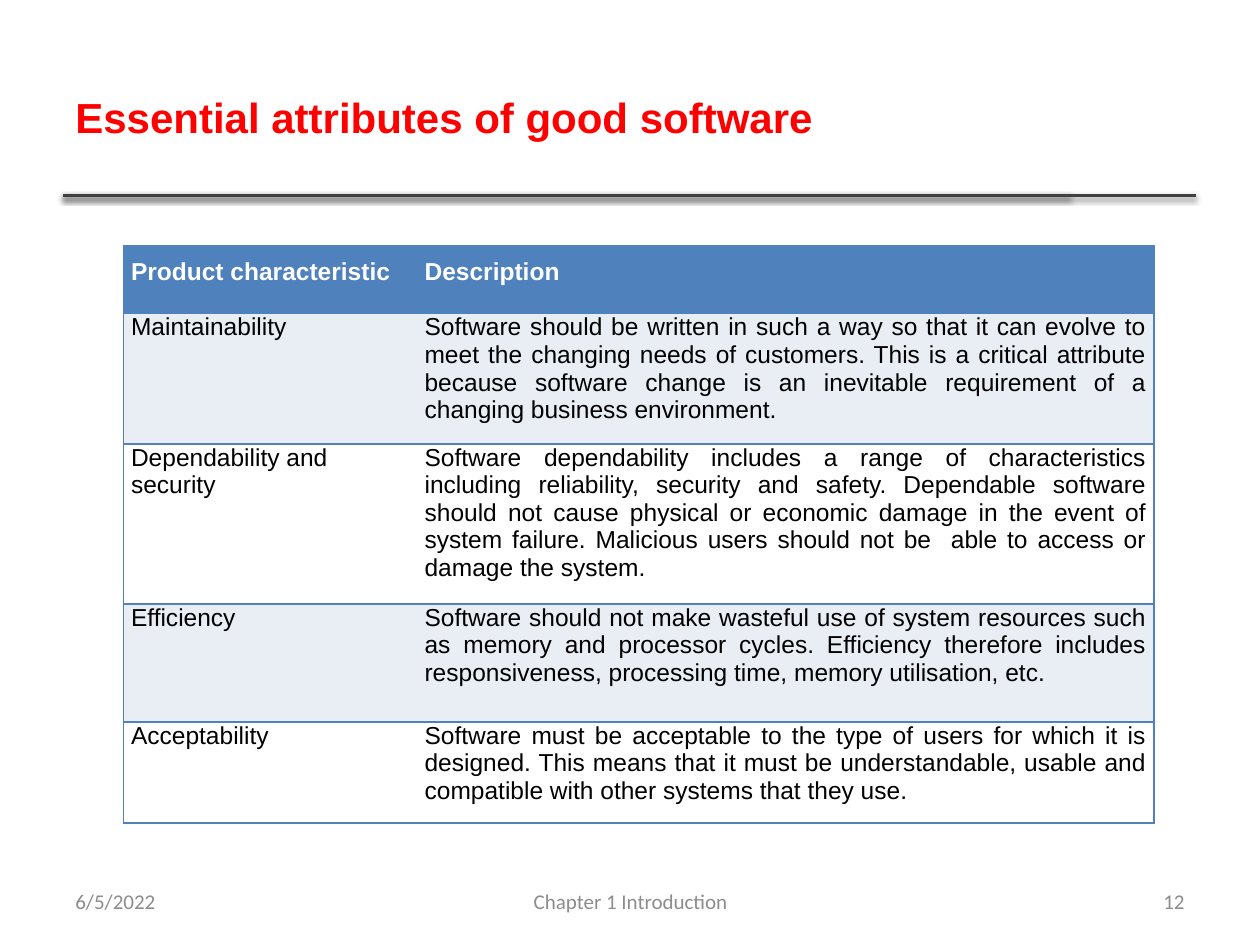
"""Build the slide on the essential attributes of good software."""
from lxml import etree
from pptx import Presentation
from pptx.dml.color import RGBColor
from pptx.enum.shapes import MSO_CONNECTOR
from pptx.enum.text import MSO_ANCHOR, PP_ALIGN
from pptx.oxml import parse_xml
from pptx.oxml.ns import nsdecls, qn
from pptx.util import Inches, Pt


def color(hex_text):
    return RGBColor.from_string(hex_text)


def write(frame, text, size=14, font="Arial", ink="000000", bold=False,
          align=PP_ALIGN.LEFT, anchor=MSO_ANCHOR.MIDDLE):
    frame.word_wrap = True
    frame.vertical_anchor = anchor
    paragraph = frame.paragraphs[0]
    paragraph.alignment = align
    run = paragraph.add_run()
    run.text = text
    run.font.size = Pt(size)
    run.font.name = font
    run.font.bold = bold
    run.font.color.rgb = color(ink)


BLUE = "4F81BD"
SHADOW = (
    f'<a:effectLst {nsdecls("a")}><a:outerShdw blurRad="{Pt(3.1)}" dist="{Pt(1.6)}" '
    'dir="5400000" rotWithShape="0"><a:srgbClr val="000000"><a:alpha val="38000"/>'
    '</a:srgbClr></a:outerShdw></a:effectLst>'
)

presentation = Presentation()
presentation.slide_width = Inches(10)
presentation.slide_height = Inches(7.5)
slide = presentation.slides.add_slide(presentation.slide_layouts[6])

for rule_end in (8.49, 9.49):
    rule = slide.shapes.add_connector(
        MSO_CONNECTOR.STRAIGHT, Inches(0.5), Inches(1.55), Inches(rule_end), Inches(1.55))
    rule.line.color.rgb = color("404040")
    rule.line.width = Pt(2)
    rule._element.spPr.append(parse_xml(SHADOW))

title = slide.shapes.add_textbox(Inches(0.5), Inches(0.3), Inches(7.98), Inches(1.25))
write(title.text_frame, "Essential attributes of good software", size=24, ink="FF0000", bold=True)

attributes = [
    ("Product characteristic", "Description"),
    ("Maintainability",
     "Software should be written in such a way so that it can evolve to meet the changing "
     "needs of customers. This is a critical attribute because software change is an "
     "inevitable requirement of a changing business environment."),
    ("Dependability and security",
     "Software dependability includes a range of characteristics including reliability, "
     "security and safety. Dependable software should not cause physical or economic damage "
     "in the event of system failure. Malicious users should not be  able to access or "
     "damage the system."),
    ("Efficiency",
     "Software should not make wasteful use of system resources such as memory and processor "
     "cycles. Efficiency therefore includes responsiveness, processing time, memory "
     "utilisation, etc."),
    ("Acceptability",
     "Software must be acceptable to the type of users for which it is designed. This means "
     "that it must be understandable, usable and compatible with other systems that they use. "),
]
row_heights = [0.54, 0.94, 1.14, 0.94, 0.74]
table = slide.shapes.add_table(
    len(attributes), 2, Inches(0.98), Inches(1.95), Inches(8.18), Inches(sum(row_heights))).table
for column, width in zip(table.columns, (2.33, 5.85)):
    column.width = Inches(width)

for row_index, (texts, height) in enumerate(zip(attributes, row_heights)):
    table.rows[row_index].height = Inches(height)
    is_header = row_index == 0
    for column_index, text in enumerate(texts):
        cell = table.cell(row_index, column_index)
        cell.margin_left = cell.margin_right = Inches(0.06)
        cell.margin_top = Inches(0.1 if is_header else 0)
        cell.margin_bottom = Inches(0.1)
        wraps_left = text == "Dependability and security"
        write(cell.text_frame, text, ink="FFFFFF" if is_header else "000000", bold=is_header,
              align=PP_ALIGN.LEFT if wraps_left else PP_ALIGN.JUSTIFY, anchor=MSO_ANCHOR.TOP)
        cell.vertical_anchor = MSO_ANCHOR.TOP
        properties = cell._tc.get_or_add_tcPr()
        inner_side = "lnR" if column_index == 0 else "lnL"
        for side in ("lnL", "lnR", "lnT", "lnB"):
            border = etree.SubElement(properties, qn(f"a:{side}"), w=str(Pt(1)))
            if side == inner_side:
                etree.SubElement(border, qn("a:noFill"))
            else:
                ink = etree.SubElement(border, qn("a:solidFill"))
                etree.SubElement(ink, qn("a:srgbClr"), val=BLUE)
        cell.fill.solid()
        cell.fill.fore_color.rgb = color(
            BLUE if is_header else "E9EDF4" if row_index % 2 else "FFFFFF")

footers = [
    (3.42, 3.17, "Chapter 1 Introduction", PP_ALIGN.CENTER),
    (0.5, 2.33, "6/5/2022", PP_ALIGN.LEFT),
    (7.17, 2.33, "12", PP_ALIGN.RIGHT),
]
for left, width, text, align in footers:
    footer = slide.shapes.add_textbox(Inches(left), Inches(6.95), Inches(width), Inches(0.4))
    write(footer.text_frame, text, size=12, font="Calibri", ink="8C8C8C", align=align)

presentation.save("out.pptx")
